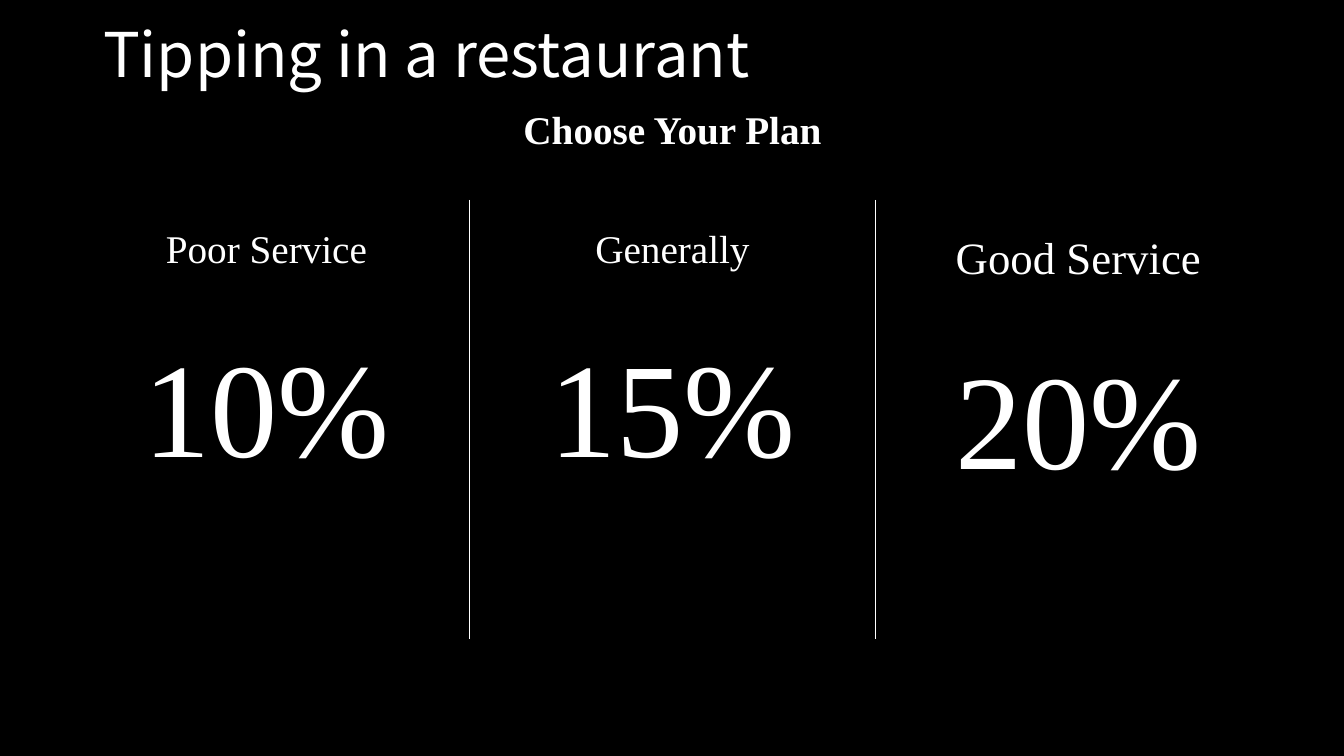
from lxml.etree import SubElement
from pptx import Presentation
from pptx.dml.color import RGBColor
from pptx.enum.shapes import MSO_CONNECTOR
from pptx.enum.text import MSO_ANCHOR, MSO_AUTO_SIZE, PP_ALIGN
from pptx.oxml.ns import qn
from pptx.util import Pt

SCALE = 914400 / 100.8
COLORS = {"background": "000000", "text": "FFFFFF", "divider": "FFFFFF"}
SERIF = "Times New Roman"


def px(length):
    return round(length * SCALE)


def write(paragraph, text, size, font=SERIF, bold=False, align=PP_ALIGN.CENTER,
          spacing=0.9, before=0):
    paragraph.text = text
    paragraph.alignment = align
    paragraph.line_spacing = spacing
    paragraph.space_before = Pt(before)
    paragraph.font.size = Pt(size)
    paragraph.font.name = font
    paragraph.font.bold = bold
    paragraph.font.color.rgb = RGBColor.from_string(COLORS["text"])


deck = Presentation()
deck.slide_width, deck.slide_height = px(1344), px(756)
slide = deck.slides.add_slide(deck.slide_layouts[5])
slide.background.fill.solid()
slide.background.fill.fore_color.rgb = RGBColor.from_string(COLORS["background"])

title = slide.shapes.title
title.left, title.top, title.width, title.height = px(93), px(12), px(1159), px(91)
title.text_frame.auto_size = MSO_AUTO_SIZE.NONE
title.text_frame.vertical_anchor = MSO_ANCHOR.MIDDLE
write(title.text_frame.paragraphs[0], "Tipping in a restaurant", 44,
      font="Noto Sans CJK SC", align=PP_ALIGN.LEFT)

subtitle = slide.shapes.add_textbox(px(93), px(103), px(1159), px(55)).text_frame
subtitle.word_wrap = True
subtitle.vertical_anchor = MSO_ANCHOR.BOTTOM
write(subtitle.paragraphs[0], "Choose Your Plan", 28, bold=True)

plans = [
    ("Poor Service", "10%", 28, 0.9, 49, 437),
    ("Generally", "15%", 28, 0.9, 49, 437),
    ("Good Service", "20%", 32, 1.0, 37, 281),
]
for column, (service, tip, size, spacing, gap, height) in enumerate(plans):
    plan = slide.shapes.add_textbox(
        px(92 + 406 * column), px(225), px(349), px(height)).text_frame
    plan.word_wrap = True
    write(plan.paragraphs[0], service, size, spacing=spacing)
    write(plan.add_paragraph(), tip, 96, spacing=spacing, before=gap)

for column in range(len(plans) - 1):
    x = px(469 + 406 * column)
    divider = slide.shapes.add_connector(MSO_CONNECTOR.STRAIGHT, x, px(200), x, px(639))
    divider.line.color.rgb = RGBColor.from_string(COLORS["divider"])
    divider.line.width = Pt(0.5)
    SubElement(divider._element.spPr, qn("a:effectLst"))

deck.save("out.pptx")
